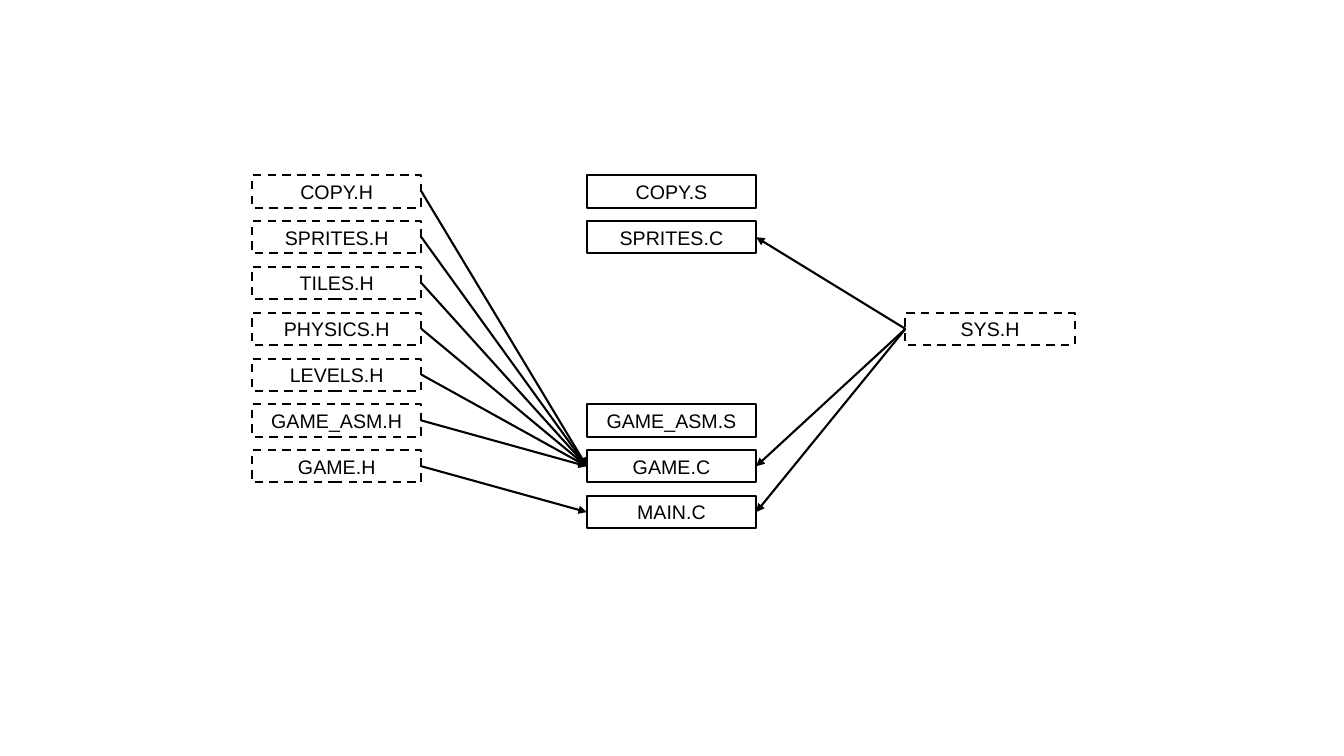
"""Build a slide showing which headers each source file of a game includes."""
import lxml.etree
import pptx
import pptx.dml.color
import pptx.enum.dml
import pptx.enum.shapes
import pptx.enum.text
import pptx.oxml.ns
import pptx.util
from pptx.util import Inches


def color(hex_code):
    return pptx.dml.color.RGBColor.from_string(hex_code)


INK, PAPER = "000000", "FFFFFF"
TOP, ROW_PITCH = 1.74, 3.18 / 7
HEADERS_LEFT, SOURCES_LEFT, LIBRARY_LEFT = 2.5, 5.82, 8.98
LEFT_SIDE, RIGHT_SIDE = 1, 3

files = [
    ("MAIN.C", SOURCES_LEFT, 7),
    ("COPY.S", SOURCES_LEFT, 0),
    ("SPRITES.C", SOURCES_LEFT, 1),
    ("GAME_ASM.S", SOURCES_LEFT, 5),
    ("GAME.C", SOURCES_LEFT, 6),
    ("SYS.H", LIBRARY_LEFT, 3),
]
headers = ["COPY.H", "SPRITES.H", "TILES.H", "PHYSICS.H", "LEVELS.H", "GAME_ASM.H", "GAME.H"]
files += [(header, HEADERS_LEFT, row) for row, header in enumerate(headers)]

includes = [("SYS.H", source, LEFT_SIDE, RIGHT_SIDE) for source in ("SPRITES.C", "GAME.C", "MAIN.C")]
includes += [(header, "GAME.C", RIGHT_SIDE, LEFT_SIDE) for header in headers[:-1]]
includes.append(("GAME.H", "MAIN.C", RIGHT_SIDE, LEFT_SIDE))

deck = pptx.Presentation()
deck.slide_width, deck.slide_height = Inches(13.33), Inches(7.5)
slide = deck.slides.add_slide(deck.slide_layouts[6])

boxes = {}
for name, left, row in files:
    box = slide.shapes.add_shape(
        pptx.enum.shapes.MSO_SHAPE.RECTANGLE,
        Inches(left), Inches(TOP + row * ROW_PITCH), Inches(1.68), Inches(0.32),
    )
    box.shadow.inherit = False
    box.fill.solid()
    box.fill.fore_color.rgb = color(PAPER)
    box.line.color.rgb = color(INK)
    box.line.width = pptx.util.Pt(1.5)
    if name.endswith(".H"):
        box.line.dash_style = pptx.enum.dml.MSO_LINE.DASH
    box.text_frame.vertical_anchor = pptx.enum.text.MSO_ANCHOR.MIDDLE
    label = box.text_frame.paragraphs[0]
    label.text = name
    label.alignment = pptx.enum.text.PP_ALIGN.CENTER
    label.font.name = "Arial"
    label.font.size = pptx.util.Pt(14)
    label.font.color.rgb = color(INK)
    boxes[name] = box

for header, source, header_side, source_side in includes:
    arrow = slide.shapes.add_connector(pptx.enum.shapes.MSO_CONNECTOR.STRAIGHT, 0, 0, 0, 0)
    arrow.begin_connect(boxes[header], header_side)
    arrow.end_connect(boxes[source], source_side)
    arrow.line.color.rgb = color(INK)
    arrow.line.width = pptx.util.Pt(1.5)
    outline = arrow.line._get_or_add_ln()
    lxml.etree.SubElement(outline, pptx.oxml.ns.qn("a:tailEnd"), type="triangle")
    lxml.etree.SubElement(arrow._element.spPr, pptx.oxml.ns.qn("a:effectLst"))

deck.save("out.pptx")
